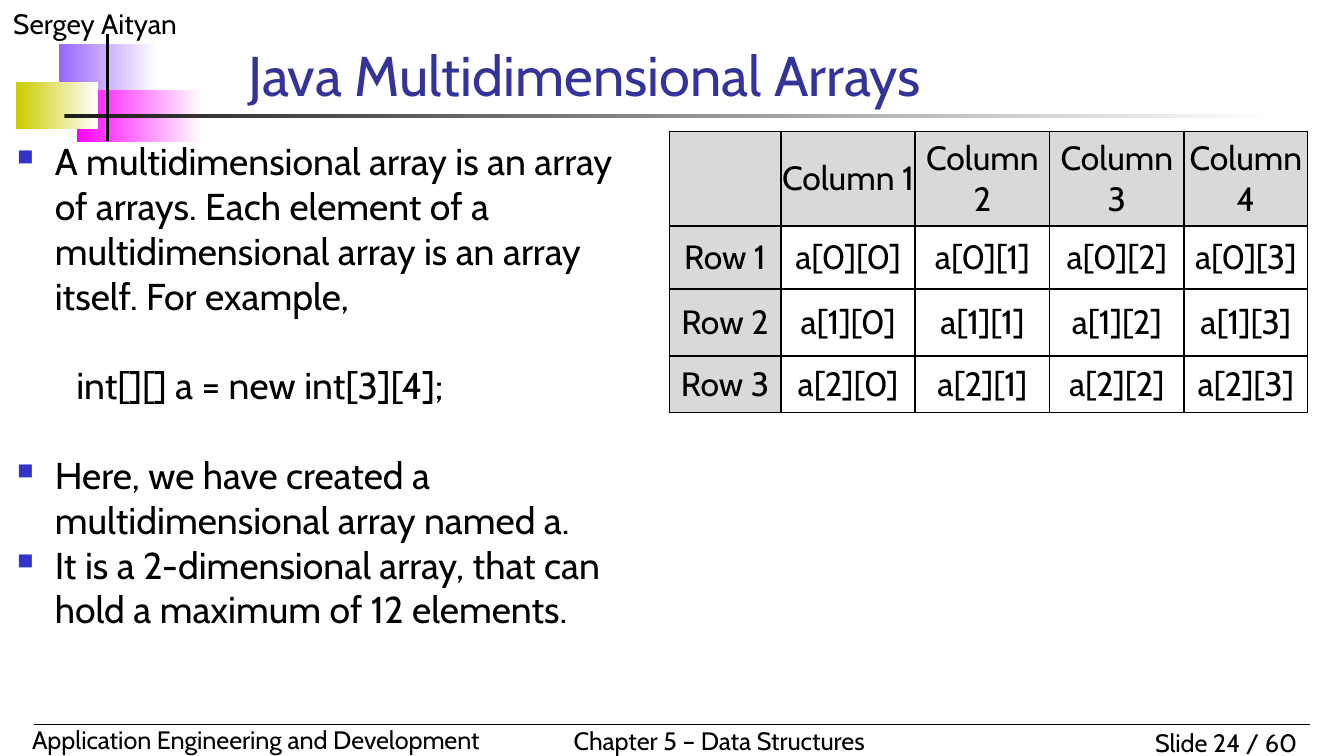
from lxml import etree
from pptx import Presentation
from pptx import util as u
from pptx.dml import color
from pptx.enum import shapes, text
from pptx.oxml import ns

Inches, Pt = u.Inches, u.Pt
ALIGN = text.PP_ALIGN


def rgb(code):
    return color.RGBColor.from_string(code)


def add_xml(parent, tag, **attributes):
    return etree.SubElement(parent, ns.qn(tag), attributes)


def write(paragraph, content, size=20, ink="000000", font="Cabin",
          align=ALIGN.LEFT, before=0, after=0):
    paragraph.alignment = align
    paragraph.space_before, paragraph.space_after = Pt(before), Pt(after)
    run = paragraph.add_run()
    run.text = content
    run.font.name, run.font.size = font, Pt(size)
    run.font.color.rgb = rgb(ink)


class Deck:
    ink, title_ink, bullet_ink, header_fill = "000000", "333399", "3333CC", "D9D9D9"

    def __init__(self, width, height):
        self.prs = Presentation()
        self.prs.slide_width, self.prs.slide_height = Inches(width), Inches(height)
        self.slide = self.prs.slides.add_slide(self.prs.slide_layouts[6])

    def fade(self, left, top, width, height, start):
        bar = self.slide.shapes.add_shape(
            shapes.MSO_SHAPE.RECTANGLE, *map(Inches, (left, top, width, height)))
        bar.shadow.inherit = False
        bar.line.fill.background()
        bar.fill.gradient()
        bar.fill.gradient_angle = 0
        for stop, code in zip(bar.fill.gradient_stops, (start, "FFFFFF")):
            stop.color.rgb = rgb(code)

    def line(self, x1, y1, x2, y2, weight):
        rule = self.slide.shapes.add_connector(
            shapes.MSO_CONNECTOR.STRAIGHT, *map(Inches, (x1, y1, x2, y2)))
        rule.line.color.rgb = rgb(self.ink)
        rule.line.width = Pt(weight)
        add_xml(rule._element.spPr, "a:effectLst")

    def frame(self, left, top, width, height, wrap=True):
        box = self.slide.shapes.add_textbox(*map(Inches, (left, top, width, height)))
        box.text_frame.word_wrap = wrap
        return box.text_frame

    def label(self, left, top, width, height, content, wrap=True,
              anchor=text.MSO_ANCHOR.TOP, **style):
        frame = self.frame(left, top, width, height, wrap)
        frame.vertical_anchor = anchor
        write(frame.paragraphs[0], content, **style)

    def body(self, left, top, width, height, items):
        frame = self.frame(left, top, width, height)
        for i, (content, bulleted, gap) in enumerate(items):
            paragraph = frame.add_paragraph() if i else frame.paragraphs[0]
            props = paragraph._p.get_or_add_pPr()
            props.set("marL", str(Inches(0.28 if bulleted else 0.44)))
            props.set("indent", str(Inches(-0.28 if bulleted else 0)))
            write(paragraph, content, before=gap, after=gap)
            if bulleted:
                add_xml(add_xml(props, "a:buClr"), "a:srgbClr", val=self.bullet_ink)
                add_xml(props, "a:buSzPct", val="60000")
                add_xml(props, "a:buChar", char="■")

    def border(self, cell):
        props = cell._tc.get_or_add_tcPr()
        for i, side in enumerate(("a:lnL", "a:lnR", "a:lnT", "a:lnB")):
            edge = etree.Element(ns.qn(side), w=str(Pt(1)))
            add_xml(add_xml(edge, "a:solidFill"), "a:srgbClr", val=self.ink)
            props.insert(i, edge)

    def table(self, left, top, widths, heights, rows):
        grid = self.slide.shapes.add_table(
            len(rows), len(widths), Inches(left), Inches(top),
            Inches(sum(widths)), Inches(sum(heights))).table
        grid.first_row = grid.horz_banding = False
        for column, width in zip(grid.columns, widths):
            column.width = Inches(width)
        for r, (row, height) in enumerate(zip(rows, heights)):
            grid.rows[r].height = Inches(height)
            for c, content in enumerate(row):
                cell = grid.cell(r, c)
                cell.margin_left = cell.margin_right = 0
                cell.vertical_anchor = text.MSO_ANCHOR.MIDDLE
                if r == 0 or c == 0:
                    cell.fill.solid()
                    cell.fill.fore_color.rgb = rgb(self.header_fill)
                else:
                    cell.fill.background()
                self.border(cell)
                if content:
                    write(cell.text_frame.paragraphs[0], content, size=18,
                          align=ALIGN.CENTER)


def main():
    # Widescreen, 16 to 9
    deck = Deck(10, 10 * 9 / 16)

    # Corner ornament and title rule
    deck.fade(0.44, 0.33, 0.73, 0.39, "9966FF")
    deck.fade(0.57, 0.67, 0.93, 0.39, "FF00FF")
    deck.fade(0.12, 0.61, 0.61, 0.35, "CCCC00")
    deck.fade(0.48, 0.85, 9, 0.03, "1C1C1C")

    # Author and footer
    deck.label(0, 0, 2.5, 0.35, "Sergey Aityan", size=15)
    deck.label(8.25, 5.36, 1.5, 0.33, "Slide 24 / 60", size=13.5, align=ALIGN.RIGHT)
    deck.label(0.14, 5.34, 3.7, 0.33, "Application Engineering and Development", size=13.5)
    deck.label(4.17, 5.35, 2.54, 0.33, "Chapter 5 – Data Structures", wrap=False, size=13.5)
    deck.line(0.25, 5.39, 9.75, 5.39, 0.75)
    deck.line(0.8, 0.25, 0.8, 1.05, 2)

    # Title
    deck.label(1.75, 0.31, 7.13, 0.54, "Java Multidimensional Arrays",
               anchor=text.MSO_ANCHOR.BOTTOM, size=30, ink=deck.title_ink)

    # Explanation: text, bulleted or not, space around in points
    deck.body(0.03, 0.98, 4.67, 3.78, [
        ("A multidimensional array is an array of arrays. Each element of a "
         "multidimensional array is an array itself. For example,", True, 0),
        ("int[][] a = new int[3][4];", False, 24),
        ("Here, we have created a multidimensional array named a.", True, 0),
        ("It is a 2-dimensional array, that can hold a maximum of 12 elements.", True, 0),
    ])

    # Element index table
    header = [""] + [f"Column {c + 1}" for c in range(4)]
    elements = [[f"Row {r + 1}"] + [f"a[{r}][{c}]" for c in range(4)] for r in range(3)]
    deck.table(4.98, 0.98, [0.83, 1, 1, 1, 0.92], [0.58, 0.47, 0.5, 0.42],
               [header] + elements)

    deck.prs.save("out.pptx")


if __name__ == "__main__":
    main()
